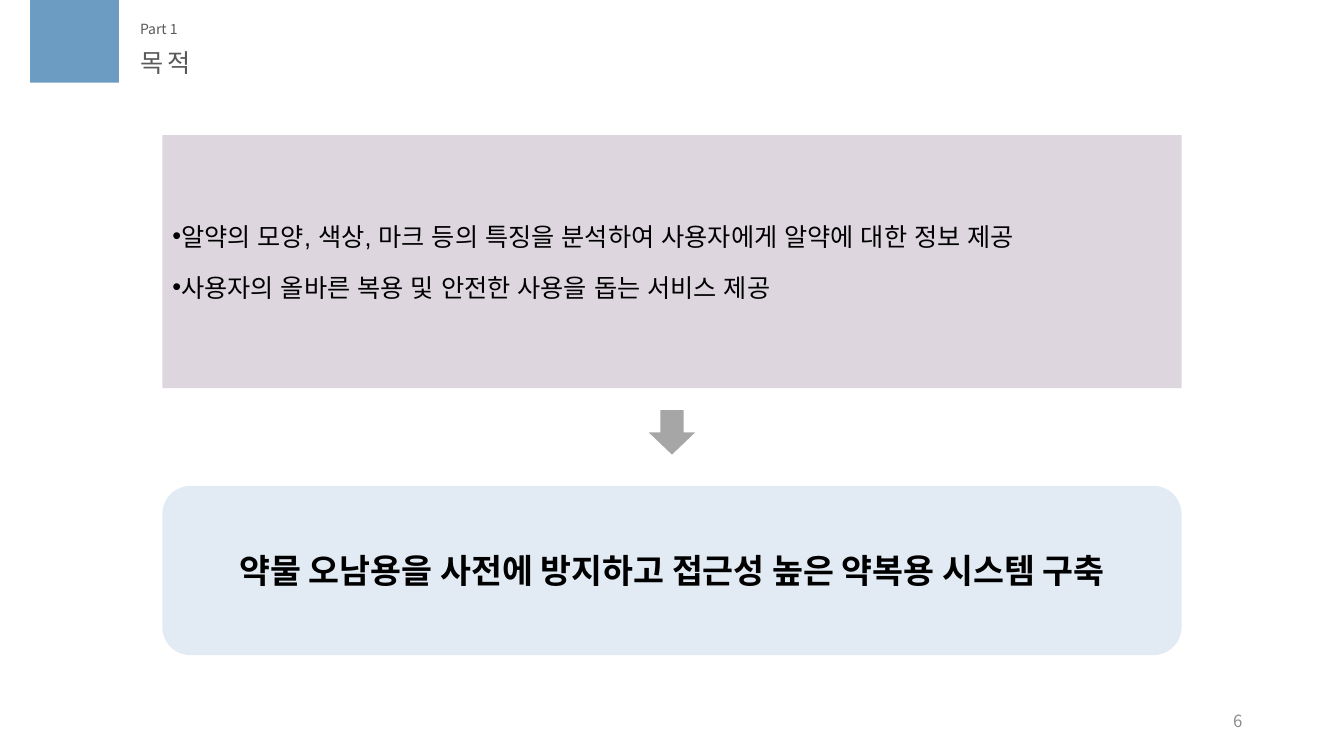
from lxml import etree
from pptx import Presentation
from pptx import util as u
from pptx.dml.color import RGBColor
from pptx.enum import shapes, text
from pptx.oxml import ns

COLORS = {
    "accent": "6C9CC2", "purpose": "DDD6DF", "goal": "E2EBF3", "arrow": "A6A6A6",
    "ink": "000000", "heading": "595959", "number": "8C8C8C",
}
SANS = "Noto Sans CJK KR"
ALIGN = text.PP_ALIGN
ANCHOR = text.MSO_ANCHOR
SHAPE = shapes.MSO_SHAPE


def add_child(parent, tag, **attributes):
    return etree.SubElement(parent, ns.qn(tag), **attributes)


def write(frame, lines, size=18, color="ink", font=SANS, bold=False, align=ALIGN.LEFT,
          anchor=ANCHOR.TOP, wrap=True, grow=False, tracking=0, bullet=None, after=0):
    """Fill a text frame with one paragraph per line."""
    frame.word_wrap = wrap
    frame.auto_size = (text.MSO_AUTO_SIZE.SHAPE_TO_FIT_TEXT if grow
                       else text.MSO_AUTO_SIZE.NONE)
    frame.vertical_anchor = anchor
    for index, line in enumerate(lines):
        para = frame.add_paragraph() if index else frame.paragraphs[0]
        if bullet:
            properties = para._p.get_or_add_pPr()
            properties.set("marL", "0")
            properties.set("indent", "0")
            add_child(properties, "a:buFont", typeface="Arial")
            add_child(properties, "a:buChar", char=bullet)
        para.alignment = align
        para.space_before = u.Pt(0)
        para.space_after = u.Pt(after if index < len(lines) - 1 else 0)
        span = para.add_run()
        span.text = line
        span.font.size = u.Pt(size)
        span.font.bold = bold
        span.font.name = font
        span.font.color.rgb = RGBColor.from_string(COLORS[color])
        run_properties = span._r.get_or_add_rPr()
        add_child(run_properties, "a:ea", typeface=font)
        if tracking:
            run_properties.set("spc", str(tracking * 100))


class Page:
    """Style and current slide; places are percentages of the slide's size."""

    def __init__(self, deck):
        self.deck = deck
        self.slide = deck.slides.add_slide(deck.slide_layouts[1])

    def place(self, left, top, width, height):
        across, down = self.deck.slide_width / 100, self.deck.slide_height / 100
        return [u.Emu(round(value)) for value in
                (left * across, top * down, width * across, height * down)]

    def paint(self, box, color):
        box.fill.solid()
        box.fill.fore_color.rgb = RGBColor.from_string(COLORS[color])
        box.line.fill.background()

    def placeholder(self, index, spot, lines, fill=None, **style):
        box = self.slide.placeholders[index]
        box.left, box.top, box.width, box.height = self.place(*spot)
        if fill:
            self.paint(box, fill)
        write(box.text_frame, lines, **style)

    def shape(self, kind, spot, fill, lines=(), **style):
        box = self.slide.shapes.add_shape(kind, *self.place(*spot))
        box.shadow.inherit = False
        self.paint(box, fill)
        if lines:
            write(box.text_frame, lines, **style)

    def label(self, spot, line, **style):
        box = self.slide.shapes.add_textbox(*self.place(*spot))
        write(box.text_frame, [line], **style)


def main():
    deck = Presentation()
    deck.slide_width, deck.slide_height = u.Inches(13.33), u.Inches(7.5)
    page = Page(deck)
    panel_left, panel_width = 12.08, 75.84
    heading_left = 9.68
    arrow_width = 3.45

    # Header
    page.shape(SHAPE.RECTANGLE, (2.25, 0, 6.6, 10.93), "accent")
    page.label((heading_left, 2, 4.35, 3.6), "Part 1", size=10, color="heading",
               wrap=False, grow=True)
    page.placeholder(0, (heading_left, 5.6, 5.93, 5.33), ["목적"], color="heading",
                     wrap=False, grow=True, tracking=3)

    # Purpose
    page.placeholder(1, (panel_left, 17.87, panel_width, 33.47), [
        "알약의 모양, 색상, 마크 등의 특징을 분석하여 사용자에게 알약에 대한 정보 제공",
        "사용자의 올바른 복용 및 안전한 사용을 돕는 서비스 제공",
    ], fill="purpose", font="Arial", anchor=ANCHOR.MIDDLE, bullet="•", after=15)

    # Arrow centred between the panels, and the goal
    arrow_left = panel_left + (panel_width - arrow_width) / 2
    page.shape(SHAPE.DOWN_ARROW, (arrow_left, 54.27, arrow_width, 5.87), "arrow")
    page.shape(SHAPE.ROUNDED_RECTANGLE, (panel_left, 64.27, panel_width, 22.4), "goal",
               ["약물 오남용을 사전에 방지하고 접근성 높은 약복용 시스템 구축"],
               size=24, bold=True, align=ALIGN.CENTER, anchor=ANCHOR.MIDDLE)

    # Page number
    page.label((70.67, 92.67, 22.51, 5.33), "6", size=12, color="number",
               align=ALIGN.RIGHT, anchor=ANCHOR.MIDDLE)

    deck.save("out.pptx")


if __name__ == "__main__":
    main()
